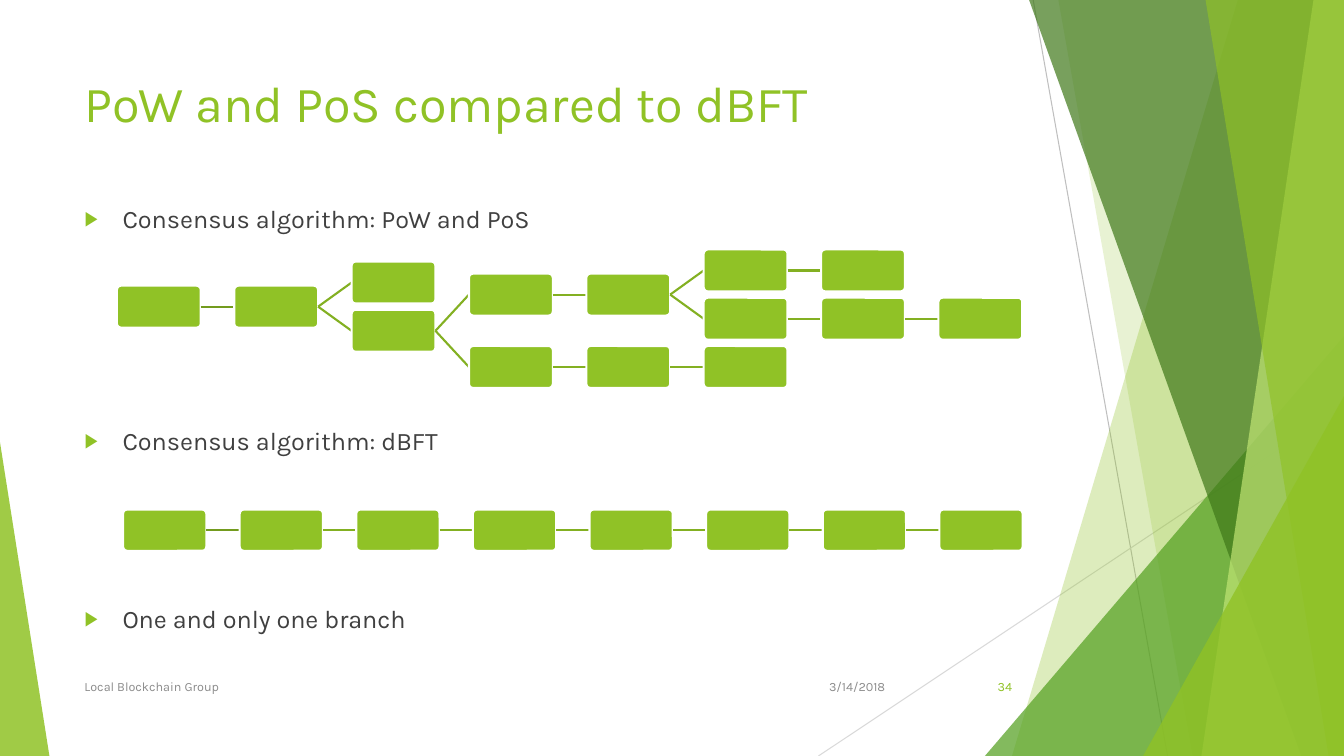
from lxml.etree import SubElement
from pptx import Presentation
from pptx.dml.color import RGBColor
from pptx.enum.shapes import MSO_CONNECTOR, MSO_SHAPE
from pptx.enum.text import MSO_ANCHOR, MSO_AUTO_SIZE, PP_ALIGN
from pptx.oxml.ns import qn
from pptx.util import Pt

WIDE, HIGH = 960, 540
HUES = {
    "lime": "90C226", "green": "54A021", "dark": "3F7819", "pale": "C0E474",
    "link": "83B022", "first": "739B1E", "white": "FFFFFF",
    "ink": "404040", "gray": "8C8C8C", "rule": "BFBFBF", "faint": "D9D9D9",
}


def apply(item, values):
    for key, value in values.items():
        setattr(item, key, value)


def tint(hue):
    return RGBColor.from_string(HUES[hue])


class Painter:
    """Holds the style and the current slide."""

    font = "Karla"
    frame = {"word_wrap": True, "auto_size": MSO_AUTO_SIZE.NONE}

    def __init__(self, slide):
        self.slide = slide
        self.shapes = slide.shapes

    def line(self, start, end, hue, width):
        ends = [Pt(v) for v in (*start, *end)]
        line = self.shapes.add_connector(MSO_CONNECTOR.STRAIGHT, *ends)
        line.line.color.rgb = tint(hue)
        line.line.width = Pt(width)
        SubElement(line.element.spPr, qn("a:effectLst"))

    def paint(self, shape, hue, alpha=100, edge=None):
        shape.shadow.inherit = False
        shape.fill.solid()
        shape.fill.fore_color.rgb = tint(hue)
        if alpha < 100:
            color = shape.element.spPr.find(".//" + qn("a:srgbClr"))
            SubElement(color, qn("a:alpha"), val=str(alpha * 1000))
        if edge:
            shape.line.color.rgb = tint(edge)
            shape.line.width = Pt(1.5)
        else:
            shape.line.fill.background()

    def shard(self, top, base, hue, alpha):
        """Fills from a slanted left edge to the right side of the slide."""
        build = self.shapes.build_freeform(Pt(top), 0)
        spots = [(WIDE, 0), (WIDE, HIGH), (base, HIGH)]
        build.add_line_segments([(Pt(x), Pt(y)) for x, y in spots])
        self.paint(build.convert_to_shape(), hue, alpha)

    def form(self, kind, box, adjust, hue, alpha=100, edge=None):
        shape = self.shapes.add_shape(kind, *[Pt(v) for v in box])
        shape.adjustments[0] = adjust
        self.paint(shape, hue, alpha, edge)

    def wedge(self, left, top, width, tip, hue, alpha):
        box = (left, top, width, HIGH - top)
        self.form(MSO_SHAPE.ISOSCELES_TRIANGLE, box, tip, hue, alpha)

    def chain(self, nodes, left, mid, step, rise, size):
        """Draws blocks given as (column, row, index of parent)."""
        wide, high = size
        spots = [(left + col * step, mid + row * rise) for col, row, _ in nodes]
        for (x, y), (_, _, parent) in zip(spots, nodes):
            if parent is not None:
                px, py = spots[parent]
                hue = "link" if parent else "first"
                self.line((px + wide, py), (x, y), hue, 1.5)
            box = (x, y - high / 2, wide, high)
            self.form(MSO_SHAPE.ROUNDED_RECTANGLE, box, 0.1, "lime", edge="white")

    def bullet(self, para):
        props = para._p.get_or_add_pPr()
        apply_to = {"marL": str(Pt(27)), "indent": str(-Pt(27))}
        for key, value in apply_to.items():
            props.set(key, value)
        color = SubElement(props, qn("a:buClr"))
        SubElement(color, qn("a:srgbClr"), val=HUES["lime"])
        SubElement(props, qn("a:buSzPct"), val="80000")
        SubElement(props, qn("a:buFont"), typeface="Arial")
        SubElement(props, qn("a:buChar"), char="▶")

    def text(self, box, lines, size, hue, holder=None, align=PP_ALIGN.LEFT,
             anchor=MSO_ANCHOR.TOP, listed=False):
        """Writes lines given as (space before, words)."""
        places = [Pt(v) for v in box]
        shape = holder or self.shapes.add_textbox(*places)
        apply(shape, dict(zip(("left", "top", "width", "height"), places)))
        self.shapes.element.append(shape.element)  # bring to front
        frame = shape.text_frame
        apply(frame, {**self.frame, "vertical_anchor": anchor})
        for spot, (gap, words) in enumerate(lines):
            para = frame.add_paragraph() if spot else frame.paragraphs[0]
            apply(para, {"alignment": align, "space_before": Pt(gap)})
            if listed:
                self.bullet(para)
            run = para.add_run()
            run.text = words
            apply(run.font, {"name": self.font, "size": Pt(size)})
            run.font.color.rgb = tint(hue)


def main():
    deck = Presentation()
    apply(deck, {"slide_width": Pt(WIDE), "slide_height": Pt(HIGH)})
    slide = deck.slides.add_slide(deck.slide_layouts[1])
    pen = Painter(slide)

    # Backdrop
    pen.line((738, 0), (834, HIGH), "rule", 0.75)
    pen.line((WIDE, 290), (584.6, HIGH), "faint", 0.75)
    pen.shard(884.2, 722.9, "lime", 30)
    pen.shard(756, 851.8, "lime", 20)
    pen.wedge(703.5, 240, 256.5, 1, "green", 72)
    pen.shard(735.1, 929.5, "dark", 70)
    pen.shard(938.2, 858.2, "pale", 70)
    pen.shard(861.1, 949, "lime", 65)
    pen.wedge(816.5, 283, 143.5, 1, "lime", 80)
    pen.wedge(0, 316, 35.3, 0, "lime", 85)

    # Title and list
    title, body = slide.placeholders
    pen.text((53.3, 48, 811.5, 80.6), [(0, "PoW and PoS compared to dBFT")],
             36, "lime", title)
    points = [(0, "Consensus algorithm: PoW and PoS"),
              (136.9, "Consensus algorithm: dBFT"),
              (105.4, "One and only one branch")]
    pen.text((53.3, 141.8, 811.5, 334), points, 18, "ink", body, listed=True)

    # Footer
    for left, width, words, hue, align in (
            (567.4, 72, "3/14/2018", "gray", PP_ALIGN.RIGHT),
            (53.3, 496, "Local Blockchain Group", "gray", PP_ALIGN.LEFT),
            (676, 54, "34", "lime", PP_ALIGN.RIGHT)):
        pen.text((left, 476, width, 28.8), [(0, words)], 9, hue,
                 align=align, anchor=MSO_ANCHOR.MIDDLE)

    # Forked chain
    forks = [(0, 3, None), (1, 3, 0), (2, 1, 1), (2, 5, 1), (3, 2, 3),
             (4, 2, 4), (5, 0, 5), (6, 0, 6), (5, 4, 5), (6, 4, 8),
             (7, 4, 9), (3, 8, 3), (4, 8, 11), (5, 8, 12)]
    pen.chain(forks, 83.5, 193.2, 83.83, 8.62, (59.9, 30))

    # Single chain
    single = [(col, 0, col - 1 if col else None) for col in range(8)]
    pen.chain(single, 87.9, 378.7, 83.3, 0, (59.5, 29.5))

    deck.save("out.pptx")


if __name__ == "__main__":
    main()
